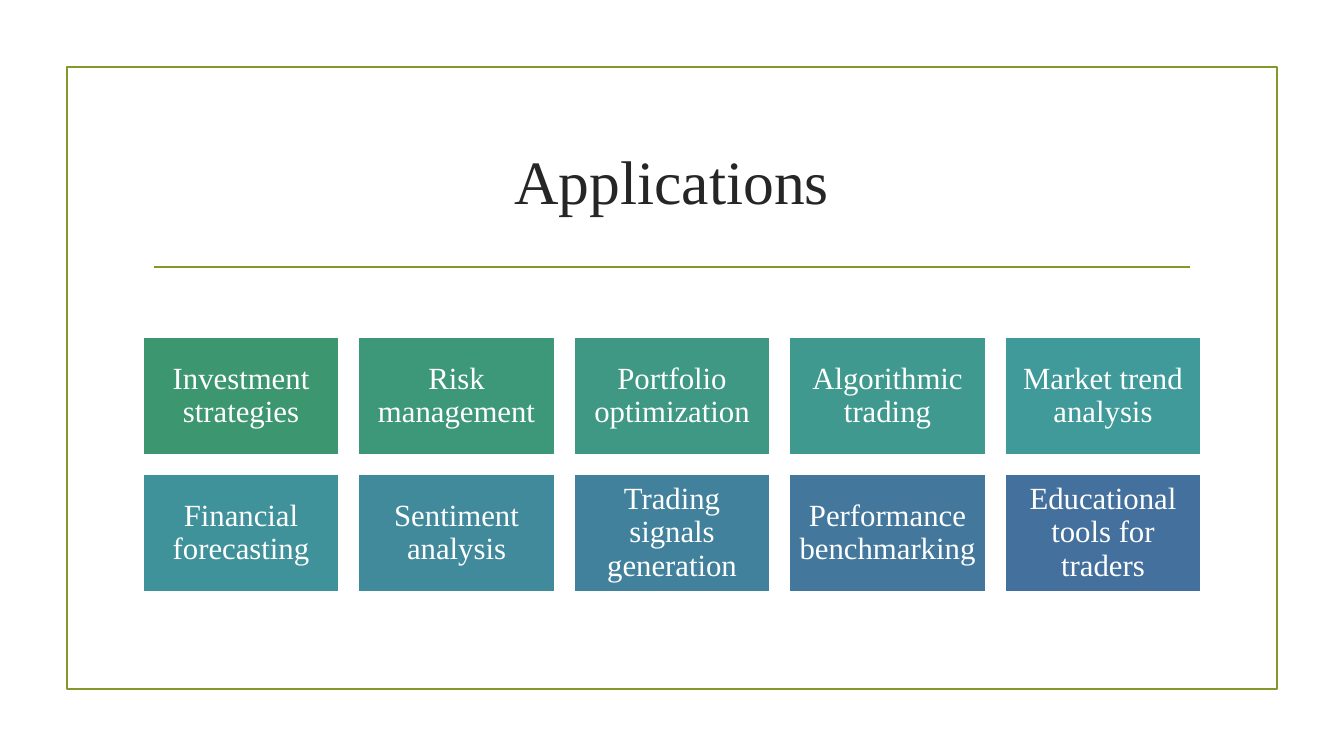
from pptx import Presentation
from pptx.dml.color import RGBColor
from pptx.enum.shapes import MSO_CONNECTOR, MSO_SHAPE
from pptx.enum.text import MSO_ANCHOR, PP_ALIGN
from pptx.oxml.ns import qn
from pptx.util import Pt
from lxml.etree import SubElement

PX = 914400 / 100.8
FONT = "Times New Roman"
OLIVE = RGBColor(0x83, 0x99, 0x2A)
INK = RGBColor(0x26, 0x26, 0x26)
WHITE = RGBColor(0xFF, 0xFF, 0xFF)
TILE_FILLS = [RGBColor.from_string(c) for c in (
    "3C9770", "3D987A", "3E9884", "3F998E", "3F9A99",
    "40929A", "418A9B", "42819C", "43789C", "44709D")]
APPLICATIONS = [
    "Investment strategies", "Risk management", "Portfolio optimization",
    "Algorithmic trading", "Market trend analysis",
    "Financial forecasting", "Sentiment analysis",
    "Trading signals generation", "Performance benchmarking",
    "Educational tools for traders"]


def px(*lengths):
    return [round(n * PX) for n in lengths]


def write(sp, text, size, color, inset=9, spacing=1.0):
    """Fill a shape with one centred paragraph."""
    tf = sp.text_frame
    tf.word_wrap = True
    tf.vertical_anchor = MSO_ANCHOR.MIDDLE
    tf.margin_left, tf.margin_top, tf.margin_right, tf.margin_bottom = px(*[inset] * 4)
    p = tf.paragraphs[0]
    p.alignment = PP_ALIGN.CENTER
    p.line_spacing = spacing
    r = p.add_run()
    r.text = text
    r.font.name = FONT
    r.font.size = Pt(size)
    r.font.color.rgb = color


def add_rect(s, x, y, w, h, line, fill=None):
    sp = s.shapes.add_shape(MSO_SHAPE.RECTANGLE, *px(x, y, w, h))
    sp.shadow.inherit = False
    if fill is None:
        sp.fill.background()
    else:
        sp.fill.solid()
        sp.fill.fore_color.rgb = fill
    sp.line.color.rgb = line
    sp.line.width = Pt(1.25)
    return sp


def add_heading(s, text, x, y, w, h):
    """Place the title with a rule below it, inset from both sides."""
    inset, gap = 11, 15
    title = s.shapes.add_textbox(*px(x, y, w, h))
    write(title, text, 44, INK)
    rule_y = y + h + gap
    rule = s.shapes.add_connector(
        MSO_CONNECTOR.STRAIGHT, *px(x + inset, rule_y, x + w - inset, rule_y))
    rule.line.color.rgb = OLIVE
    rule.line.width = Pt(1.25)
    SubElement(rule.element.spPr, qn("a:effectLst"))


def add_tiles(s, x, y, w, h, cols=5, rows=2):
    tile_w, tile_h = 196, 118
    step_x = (w - tile_w) / (cols - 1)
    step_y = (h - tile_h) / (rows - 1)
    for i, (label, fill) in enumerate(zip(APPLICATIONS, TILE_FILLS)):
        row, col = divmod(i, cols)
        tile = add_rect(s, x + col * step_x, y + row * step_y, tile_w, tile_h, WHITE, fill)
        write(tile, label, 22, WHITE, spacing=0.9)


def main():
    prs = Presentation()
    prs.slide_width, prs.slide_height = px(1344, 756)
    s = prs.slides.add_slide(prs.slide_layouts[6])
    add_rect(s, 67, 67, 1210, 622, OLIVE)
    add_heading(s, "Applications", 143, 108, 1058, 144)
    add_tiles(s, 143, 337, 1058, 255)
    prs.save("out.pptx")


if __name__ == "__main__":
    main()
